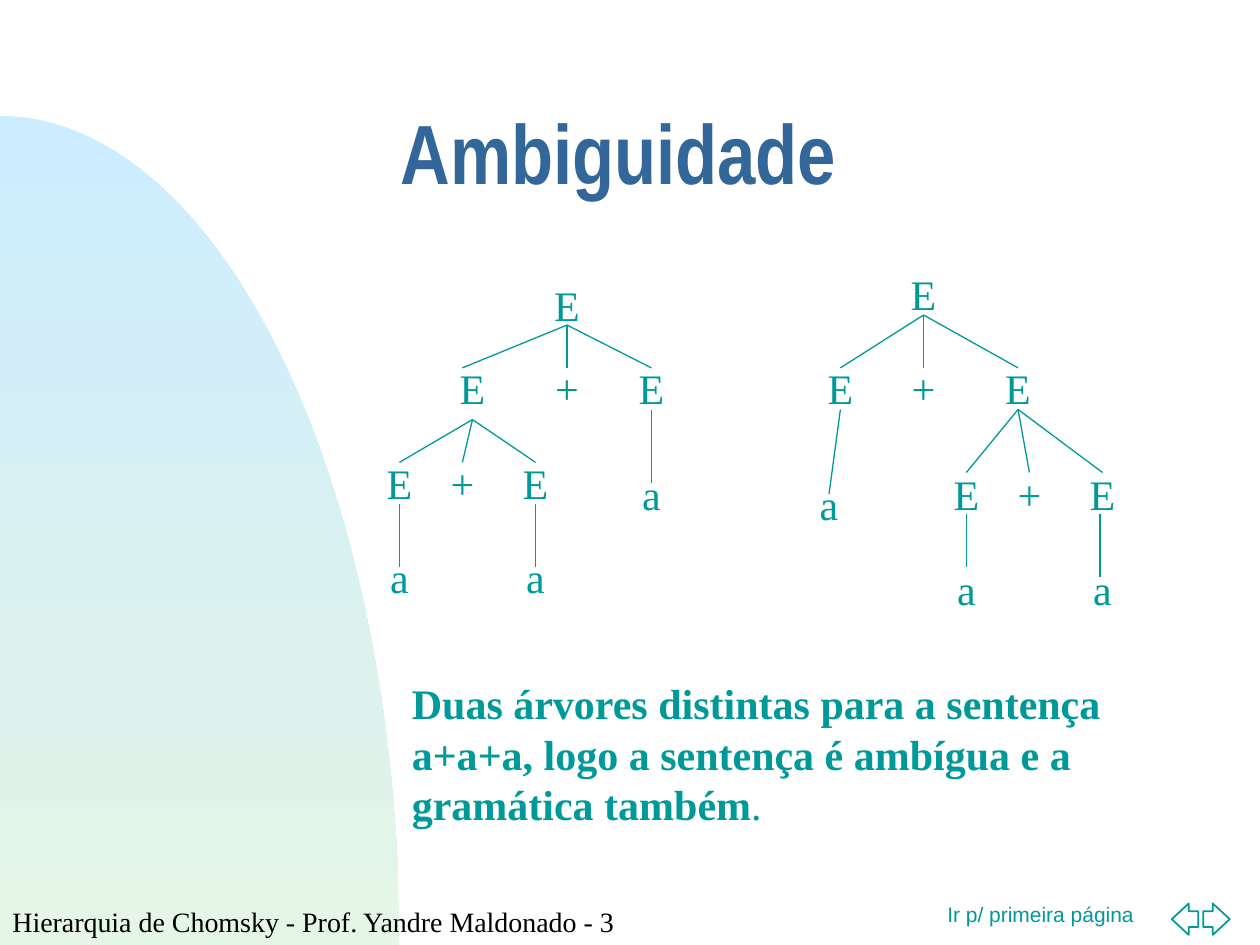
from math import cos, pi, sin
from typing import NamedTuple

from lxml.etree import SubElement
from pptx import Presentation
from pptx.dml.color import RGBColor
from pptx.enum.shapes import MSO_CONNECTOR, MSO_SHAPE
from pptx.enum.text import MSO_ANCHOR, PP_ALIGN
from pptx.oxml.ns import qn
from pptx.util import Inches, Pt

TEAL = "009999"
SERIF = "Times New Roman"
LABEL_SIZE = 0.5


class Box(NamedTuple):
    left: float
    top: float
    width: float
    height: float


class Style(NamedTuple):
    font: str
    size: int
    color: str = TEAL
    bold: bool = False


class Level(NamedTuple):
    """Symbols of a tree that share one height, each with its centre."""
    top: float
    symbols: dict[float, str]


class Branch(NamedTuple):
    """Lines from one point down to several points at one height."""
    x: float
    top: float
    bottom: float
    ends: tuple[float, ...]


LEVELS = [
    # Left tree
    Level(2.17, {4.5: "E"}),
    Level(2.83, {3.75: "E", 4.5: "+", 5.17: "E"}),
    Level(3.58, {3.17: "E", 3.67: "+", 4.25: "E"}),
    Level(3.67, {5.17: "a"}),
    Level(4.33, {3.17: "a", 4.25: "a"}),
    # Right tree
    Level(2.08, {7.33: "E"}),
    Level(2.83, {6.67: "E", 7.33: "+", 8.08: "E"}),
    Level(3.67, {7.67: "E", 8.17: "+", 8.75: "E"}),
    Level(3.75, {6.58: "a"}),
    Level(4.42, {7.67: "a", 8.75: "a"}),
]

BRANCHES = [
    # Left tree
    Branch(4.5, 2.58, 2.92, (3.67, 4.5, 5.17)),
    Branch(3.75, 3.33, 3.67, (3.17, 3.67, 4.25)),
    Branch(3.17, 4, 4.5, (3.17,)),
    Branch(4.25, 4, 4.5, (4.25,)),
    Branch(5.17, 3.25, 3.83, (5.17,)),
    # Right tree
    Branch(7.33, 2.5, 2.92, (6.67, 7.33, 8.08)),
    Branch(6.67, 3.25, 3.92, (6.58,)),
    Branch(8.08, 3.25, 3.75, (7.67, 8.17, 8.75)),
    Branch(7.67, 4.08, 4.5, (7.67,)),
    Branch(8.73, 4.08, 4.58, (8.73,)),
]


def rgb(color: str) -> RGBColor:
    return RGBColor.from_string(color)


def format_run(run, style: Style) -> None:
    run.font.name = style.font
    run.font.size = Pt(style.size)
    run.font.bold = style.bold
    run.font.color.rgb = rgb(style.color)


def add_text(slide, text: str, box: Box, style: Style, alignment=PP_ALIGN.LEFT):
    """Add a wrapped one-paragraph text box and return its text frame."""
    shape = slide.shapes.add_textbox(*map(Inches, box))
    text_frame = shape.text_frame
    text_frame.word_wrap = True
    text_frame.text = text
    paragraph = text_frame.paragraphs[0]
    paragraph.alignment = alignment
    format_run(paragraph.runs[0], style)
    return text_frame


def add_backdrop(slide) -> None:
    """Draw the quarter ellipse that fades down the left side."""
    width, top, bottom = 3.17, 0.92, 7.5
    steps = 90
    angles = [step * pi / 2 / steps for step in range(steps + 1)]
    points = [
        (Inches(width * sin(angle)), Inches(bottom - (bottom - top) * cos(angle)))
        for angle in angles
    ]
    builder = slide.shapes.build_freeform(*points[0])
    builder.add_line_segments(points[1:] + [(0, Inches(bottom))], close=True)
    shape = builder.convert_to_shape()
    shape.shadow.inherit = False
    shape.line.fill.background()
    shape.fill.gradient()
    shape.fill.gradient_angle = 270
    for stop, color in zip(shape.fill.gradient_stops, ("CCECFF", "E5F5E6")):
        stop.color.rgb = rgb(color)


def add_arrow(slide, kind: MSO_SHAPE, left: float) -> None:
    box = Box(left, 7.17, 0.21, 0.25)
    shape = slide.shapes.add_shape(kind, *map(Inches, box))
    shape.adjustments[0] = 0.5
    shape.adjustments[1] = 0.64
    shape.shadow.inherit = False
    shape.fill.solid()
    shape.fill.fore_color.rgb = rgb("FFFFFF")
    shape.line.color.rgb = rgb(TEAL)
    shape.line.width = Pt(1)


def add_level(slide, level: Level) -> None:
    for center, symbol in level.symbols.items():
        box = Box(center - LABEL_SIZE / 2, level.top, LABEL_SIZE, LABEL_SIZE)
        add_text(slide, symbol, box, Style(SERIF, 24), PP_ALIGN.CENTER)


def add_branch(slide, branch: Branch) -> None:
    for end in branch.ends:
        ends = map(Inches, (branch.x, branch.top, end, branch.bottom))
        connector = slide.shapes.add_connector(MSO_CONNECTOR.STRAIGHT, *ends)
        connector.line.color.rgb = rgb(TEAL)
        connector.line.width = Pt(0.75)
        SubElement(connector._element.spPr, qn("a:effectLst"))


def main() -> None:
    presentation = Presentation()
    presentation.slide_width = Inches(10)
    presentation.slide_height = Inches(7.5)
    slide = presentation.slides.add_slide(presentation.slide_layouts[6])

    add_backdrop(slide)
    add_text(slide, "Ir p/ primeira página", Box(7.42, 7.11, 2.17, 0.46), Style("Arial", 12))
    add_arrow(slide, MSO_SHAPE.LEFT_ARROW, 9.3)
    add_arrow(slide, MSO_SHAPE.RIGHT_ARROW, 9.55)

    title = add_text(slide, "Ambiguidade", Box(3.08, 0.67, 6.67, 1.25),
                     Style("Arial Narrow", 48, "336699", True))
    title.vertical_anchor = MSO_ANCHOR.MIDDLE
    title.paragraphs[0].line_spacing = 0.7

    for level in LEVELS:
        add_level(slide, level)
    for branch in BRANCHES:
        add_branch(slide, branch)

    conclusion = add_text(
        slide,
        "Duas árvores distintas para a sentença a+a+a, "
        "logo a sentença é ambígua e a gramática também",
        Box(3.17, 5.33, 5.75, 1.3), Style(SERIF, 24, bold=True))
    period = conclusion.paragraphs[0].add_run()
    period.text = "."
    format_run(period, Style(SERIF, 24))

    add_text(slide, "Hierarquia de Chomsky - Prof. Yandre Maldonado - 3",
             Box(0, 7.13, 5.08, 0.37), Style(SERIF, 16, "010000"))
    presentation.save("out.pptx")


if __name__ == "__main__":
    main()
